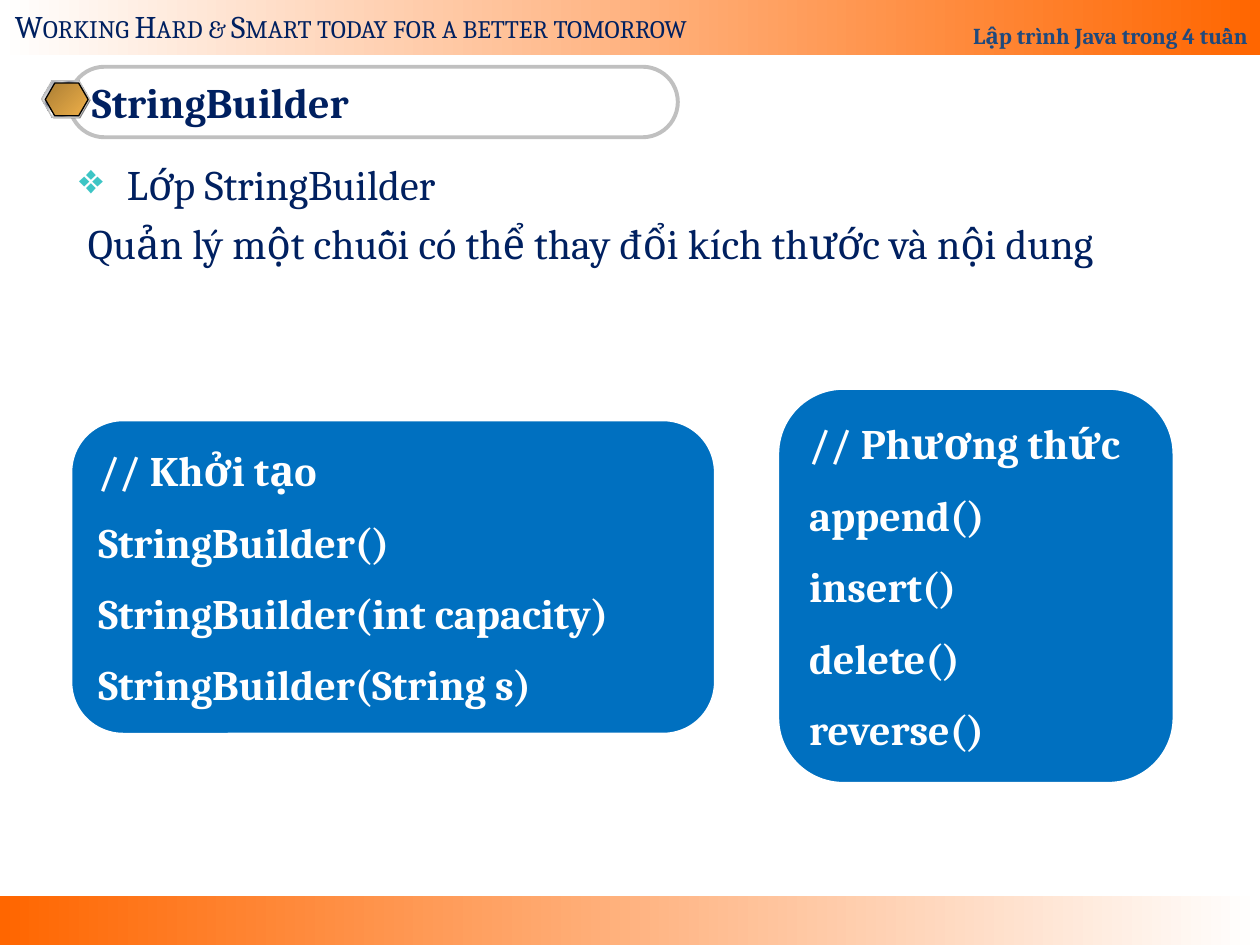
from dataclasses import dataclass

from lxml.etree import SubElement
from pptx import Presentation
from pptx.dml.color import RGBColor
from pptx.enum.shapes import MSO_SHAPE
from pptx.enum.text import MSO_ANCHOR, PP_ALIGN
from pptx.oxml.ns import qn
from pptx.util import Inches, Pt


@dataclass(frozen=True)
class Theme:
    font: str = "Cambria"
    navy: str = "002060"
    slate: str = "1F497D"
    orange: str = "FF6600"
    white: str = "FFFFFF"
    silver: str = "C0C0C0"
    gray: str = "808080"
    black: str = "000000"
    teal: str = "3DC5C5"
    blue: str = "0070C0"
    gold: tuple = ((0, "AB7E34"), (100, "EFB049"))
    steel: tuple = (
        (0, "E6E6E6"), (7, "7D8496"), (26, "E6E6E6"), (34, "7D8496"),
        (46, "E6E6E6"), (50, "FFFFFF"), (54, "E6E6E6"), (66, "7D8496"),
        (74, "E6E6E6"), (93, "7D8496"), (100, "E6E6E6"),
    )
    body_size: int = 24
    motto_size: int = 18
    course_size: int = 13


THEME = Theme()


def set_gradient(shape, stops, angle):
    shape.fill.gradient()
    gradient = shape._element.spPr.find(qn("a:gradFill"))
    stop_list = gradient.find(qn("a:gsLst"))
    for old_stop in list(stop_list):
        stop_list.remove(old_stop)
    for position, color in stops:
        stop = SubElement(stop_list, qn("a:gs"), pos=str(position * 1000))
        SubElement(stop, qn("a:srgbClr"), val=color)
    gradient.find(qn("a:lin")).set("ang", str(angle * 60000))


def add_block(slide, preset, box, fill=None, line=None, width=0.75, angle=0):
    shape = slide.shapes.add_shape(preset, *map(Inches, box))
    shape.shadow.inherit = False
    if fill is None:
        shape.fill.background()
    elif isinstance(fill, tuple):
        set_gradient(shape, fill, angle)
    else:
        shape.fill.solid()
        shape.fill.fore_color.rgb = RGBColor.from_string(fill)
    if line:
        shape.line.color.rgb = RGBColor.from_string(line)
        shape.line.width = Pt(width)
    else:
        shape.line.fill.background()
    return shape


def write(paragraph, text, color, size=THEME.body_size, bold=False):
    run = paragraph.add_run()
    run.text = text
    run.font.name = THEME.font
    run.font.size = Pt(size)
    run.font.bold = bold
    run.font.color.rgb = RGBColor.from_string(color)
    return run


def set_space_before(paragraph, percent):
    spacing = SubElement(paragraph._p.get_or_add_pPr(), qn("a:spcBef"))
    SubElement(spacing, qn("a:spcPct"), val=str(percent * 1000))


def set_indent(paragraph, margin, first_line=0):
    properties = paragraph._p.get_or_add_pPr()
    properties.set("marL", str(Inches(margin)))
    properties.set("indent", str(Inches(first_line)))


def add_bullet(paragraph, symbol, color):
    properties = paragraph._p.get_or_add_pPr()
    bullet_color = SubElement(properties, qn("a:buClr"))
    SubElement(bullet_color, qn("a:srgbClr"), val=color)
    SubElement(properties, qn("a:buChar"), char=symbol)


def add_bands(slide):
    rising = ((0, THEME.white), (100, THEME.orange))
    falling = ((0, THEME.orange), (100, THEME.white))
    add_block(slide, MSO_SHAPE.RECTANGLE, (0, 7.11, 10, 0.39), falling)
    header = add_block(slide, MSO_SHAPE.RECTANGLE, (0, 0, 10, 0.44), rising)
    header.text_frame.vertical_anchor = MSO_ANCHOR.BOTTOM
    header.text_frame.word_wrap = True
    course = header.text_frame.paragraphs[0]
    course.alignment = PP_ALIGN.RIGHT
    course.line_spacing = 1.8
    write(course, "Lập trình Java trong 4 tuần", THEME.slate, THEME.course_size, True)

    motto_box = slide.shapes.add_textbox(*map(Inches, (0.02, 0.01, 5.9, 0.4)))
    motto = write(
        motto_box.text_frame.paragraphs[0],
        "Working Hard & Smart today for a better tomorrow",
        THEME.navy, THEME.motto_size,
    )
    motto._r.get_or_add_rPr().set("cap", "small")


def add_title(slide, text):
    pill = add_block(
        slide, MSO_SHAPE.ROUNDED_RECTANGLE, (0.55, 0.53, 4.83, 0.56),
        line=THEME.silver, width=2.25,
    )
    pill.adjustments[0] = 0.5
    pill.text_frame.vertical_anchor = MSO_ANCHOR.MIDDLE
    pill.text_frame.word_wrap = True
    title = pill.text_frame.paragraphs[0]
    title.alignment = PP_ALIGN.LEFT
    write(title, text, THEME.navy, bold=True)

    badge_layers = (
        ((0.34, 0.65, 0.38, 0.29), THEME.gray, None),
        ((0.33, 0.64, 0.38, 0.29), THEME.steel, THEME.silver),
        ((0.36, 0.66, 0.34, 0.26), THEME.gold, THEME.black),
    )
    for box, fill, line in badge_layers:
        badge = add_block(slide, MSO_SHAPE.HEXAGON, box, fill, line, angle=45)
        badge.adjustments[0] = 0.289


def add_description(slide):
    body = slide.shapes.add_textbox(*map(Inches, (0.53, 1.21, 9, 4.33))).text_frame
    body.word_wrap = True
    topic = body.paragraphs[0]
    set_indent(topic, 0.38, -0.38)
    add_bullet(topic, "❖", THEME.teal)
    write(topic, "Lớp StringBuilder", THEME.navy)
    detail = body.add_paragraph()
    set_indent(detail, 0.07)
    set_space_before(detail, 20)
    write(detail, "Quản lý một chuỗi có thể thay đổi kích thước và nội dung", THEME.navy)
    for paragraph in (topic, detail):
        paragraph.alignment = PP_ALIGN.JUSTIFY


def add_code_card(slide, box, lines):
    card = add_block(
        slide, MSO_SHAPE.ROUNDED_RECTANGLE, box, THEME.blue, THEME.white, 2
    )
    frame = card.text_frame
    frame.word_wrap = True
    frame.vertical_anchor = MSO_ANCHOR.MIDDLE
    for index, text in enumerate(lines):
        paragraph = frame.add_paragraph() if index else frame.paragraphs[0]
        paragraph.alignment = PP_ALIGN.LEFT
        if index:
            set_space_before(paragraph, 50)
        write(paragraph, text, THEME.white, bold=True)


def main():
    presentation = Presentation()
    presentation.slide_width = Inches(10)
    presentation.slide_height = Inches(7.5)
    slide = presentation.slides.add_slide(presentation.slide_layouts[6])
    add_bands(slide)
    add_title(slide, "StringBuilder")
    add_description(slide)
    add_code_card(
        slide, (6.17, 3.08, 3.15, 3.14),
        ("// Phương thức", "append()", "insert()", "delete()", "reverse()"),
    )
    add_code_card(
        slide, (0.56, 3.33, 5.12, 2.5),
        ("// Khởi tạo", "StringBuilder()", "StringBuilder(int capacity)",
         "StringBuilder(String s)"),
    )
    presentation.save("out.pptx")


if __name__ == "__main__":
    main()
